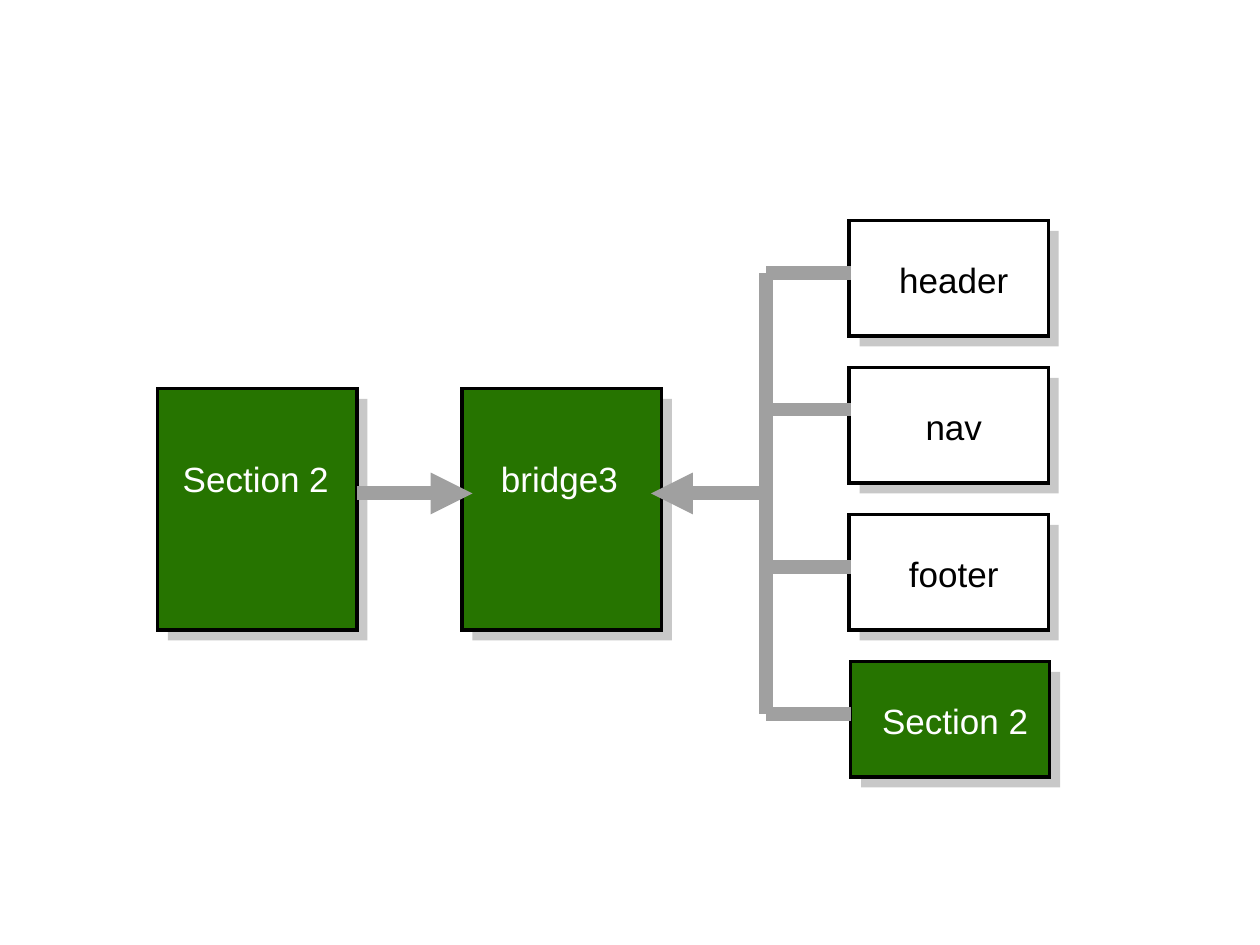
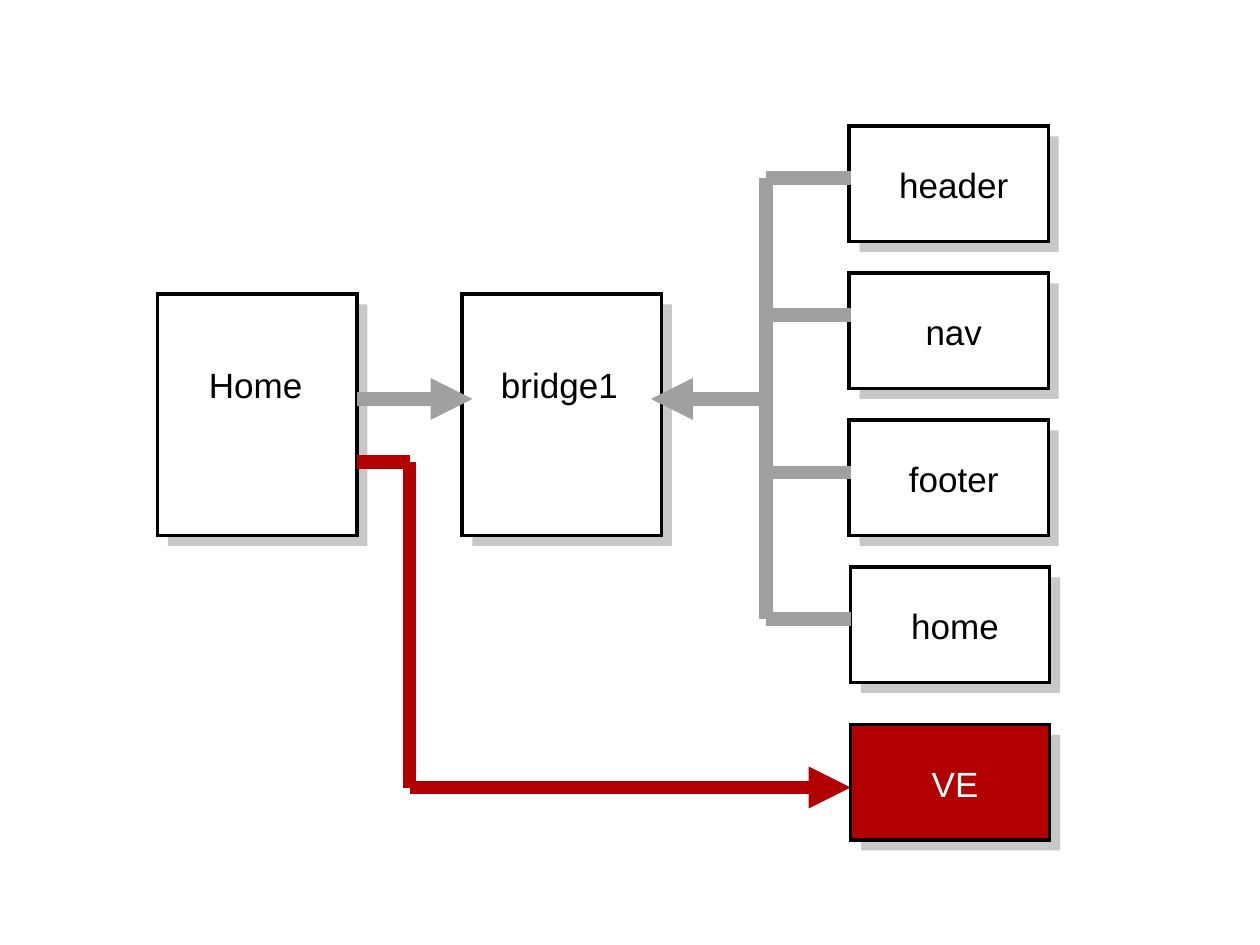
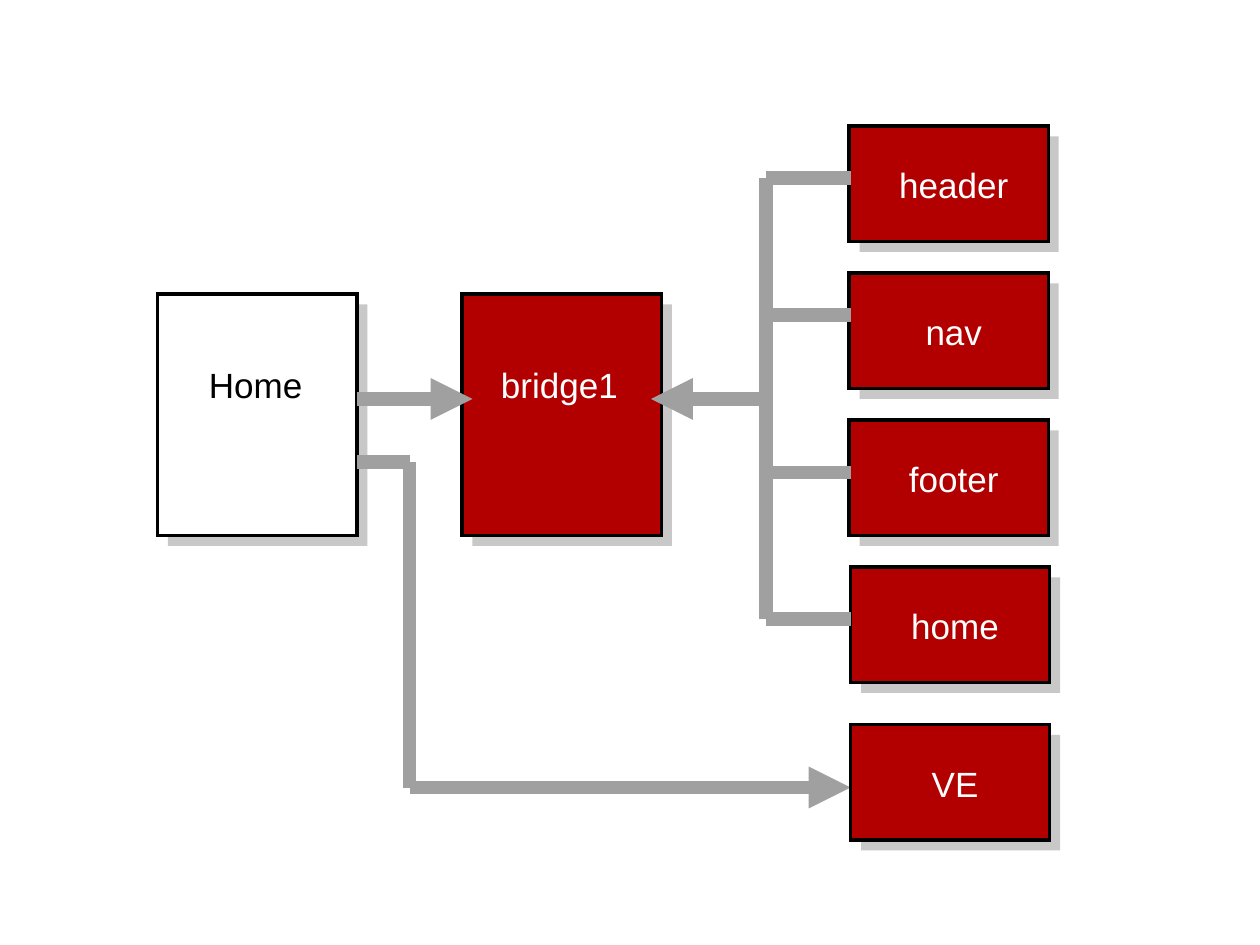
"""Build three diagrams of pages joined to their shared parts by a bridge."""
from dataclasses import dataclass

from lxml import etree
from pptx import Presentation
from pptx.dml.color import RGBColor
from pptx.enum.shapes import MSO_CONNECTOR, MSO_SHAPE
from pptx.enum.text import MSO_AUTO_SIZE, PP_ALIGN
from pptx.oxml.ns import qn
from pptx.util import Inches, Pt

RECTANGLE = MSO_SHAPE.RECTANGLE
STRAIGHT = MSO_CONNECTOR.STRAIGHT
CENTER = PP_ALIGN.CENTER
FIT_TEXT = MSO_AUTO_SIZE.SHAPE_TO_FIT_TEXT


@dataclass(frozen=True)
class Theme:
    white: RGBColor = RGBColor(0xFF, 0xFF, 0xFF)
    black: RGBColor = RGBColor(0x00, 0x00, 0x00)
    green: RGBColor = RGBColor(0x26, 0x74, 0x00)
    red: RGBColor = RGBColor(0xB2, 0x00, 0x00)
    gray: RGBColor = RGBColor(0xA0, 0xA0, 0xA0)
    shade: RGBColor = RGBColor(0xC8, 0xC8, 0xC8)
    font: str = "Arial"
    label_size: Pt = Pt(20)
    outline: Pt = Pt(2)
    link: Pt = Pt(8)


THEME = Theme()
UNIT = 1 / 12
PAGE_SIZE = (19 * UNIT, 23 * UNIT)
PART_SIZE = (1.58, 11 * UNIT)
PART_STEP = 14 * UNIT
PAGE_EDGE, BRIDGE_LEFT, TRUNK, PART_EDGE, ROUTE = 34 * UNIT, 44 * UNIT, 73 * UNIT, 6.75, 3.25
BRANCHES = (5 * UNIT, 1.5, 2.75, 47 * UNIT)
ROUTE_START, ROUTE_END = 32 * UNIT, 5.25
LABEL_WIDTHS = {
    "Section 2": 1.38, "Home": 0.96, "bridge1": 1.15, "bridge3": 1.15,
    "header": 1.1, "nav": 0.67, "footer": 0.93, "home": 0.93, "VE": 0.62,
}

DIAGRAMS = [
    dict(top=1.75, page=("Section 2", THEME.green), bridge=("bridge3", THEME.green),
         shared=THEME.white, content=("Section 2", THEME.green), route=None),
    dict(top=1, page=("Home", THEME.white), bridge=("bridge1", THEME.white),
         shared=THEME.white, content=("home", THEME.white), route=THEME.red),
    dict(top=1, page=("Home", THEME.white), bridge=("bridge1", THEME.red),
         shared=THEME.red, content=("home", THEME.red), route=THEME.gray),
]


def add_label(slide, text, *, middle, top, color):
    width = LABEL_WIDTHS[text]
    label = slide.shapes.add_textbox(
        Inches(middle - width / 2), Inches(top), Inches(width), Inches(0.44))
    frame = label.text_frame
    frame.word_wrap = False
    frame.auto_size = FIT_TEXT
    paragraph = frame.paragraphs[0]
    paragraph.text = text
    paragraph.alignment = CENTER
    paragraph.font.name = THEME.font
    paragraph.font.size = THEME.label_size
    paragraph.font.color.rgb = color


def add_link(slide, start, end, color=THEME.gray, arrow=False):
    link = slide.shapes.add_connector(STRAIGHT, *map(Inches, start + end))
    link.line.color.rgb = color
    link.line.width = THEME.link
    if arrow:
        etree.SubElement(link.line._get_or_add_ln(), qn("a:tailEnd"), type="triangle")
    etree.SubElement(link._element.spPr, qn("a:effectLst"))


deck = Presentation()
deck.slide_width, deck.slide_height = Inches(10), Inches(7.5)

for diagram in DIAGRAMS:
    slide = deck.slides.add_slide(deck.slide_layouts[6])
    top = diagram["top"]
    route = diagram["route"]
    page_top = top + 16 * UNIT
    boxes = [
        (*diagram["page"], 1.25, page_top, PAGE_SIZE, 2.03, 0.5),
        (*diagram["bridge"], BRIDGE_LEFT, page_top, PAGE_SIZE, 4.44, 0.5),
    ]
    for row, part in enumerate(("header", "nav", "footer")):
        boxes.append((part, diagram["shared"], 6.74, top + row * PART_STEP,
                      PART_SIZE, 7.57, 0.25))
    boxes.append((*diagram["content"], PART_EDGE, top + 3.5, PART_SIZE, 7.58, 0.25))

    if route:
        boxes.append(("VE", THEME.red, PART_EDGE, top + 4.75, PART_SIZE, 7.58, 0.25))
        add_link(slide, (ROUTE, top + ROUTE_END), (PART_EDGE, top + ROUTE_END),
                 route, arrow=True)
        add_link(slide, (ROUTE, top + ROUTE_START), (ROUTE, top + ROUTE_END), route)

    for text, fill, left, box_top, size, middle, drop in boxes:
        for offset, color in ((UNIT, THEME.shade), (0, fill)):
            box = slide.shapes.add_shape(
                RECTANGLE, Inches(left + offset), Inches(box_top + offset),
                *map(Inches, size))
            box.shadow.inherit = False
            box.fill.solid()
            box.fill.fore_color.rgb = color
            box.line.fill.background()
        box.line.color.rgb = THEME.black
        box.line.width = THEME.outline
        etree.SubElement(box.line._get_or_add_ln(), qn("a:miter"), lim="800000")
        add_label(slide, text, middle=middle, top=box_top + drop,
                  color=THEME.black if fill == THEME.white else THEME.white)

    arrow_y = top + 26 * UNIT
    add_link(slide, (PAGE_EDGE, arrow_y), (3.75, arrow_y), arrow=True)
    add_link(slide, (TRUNK, arrow_y), (62 * UNIT, arrow_y), arrow=True)
    add_link(slide, (TRUNK, top + BRANCHES[0]), (TRUNK, top + BRANCHES[-1]))
    for branch in BRANCHES:
        add_link(slide, (PART_EDGE, top + branch), (TRUNK, top + branch))
    if route:
        add_link(slide, (ROUTE, top + ROUTE_START), (PAGE_EDGE, top + ROUTE_START), route)

deck.save("out.pptx")
